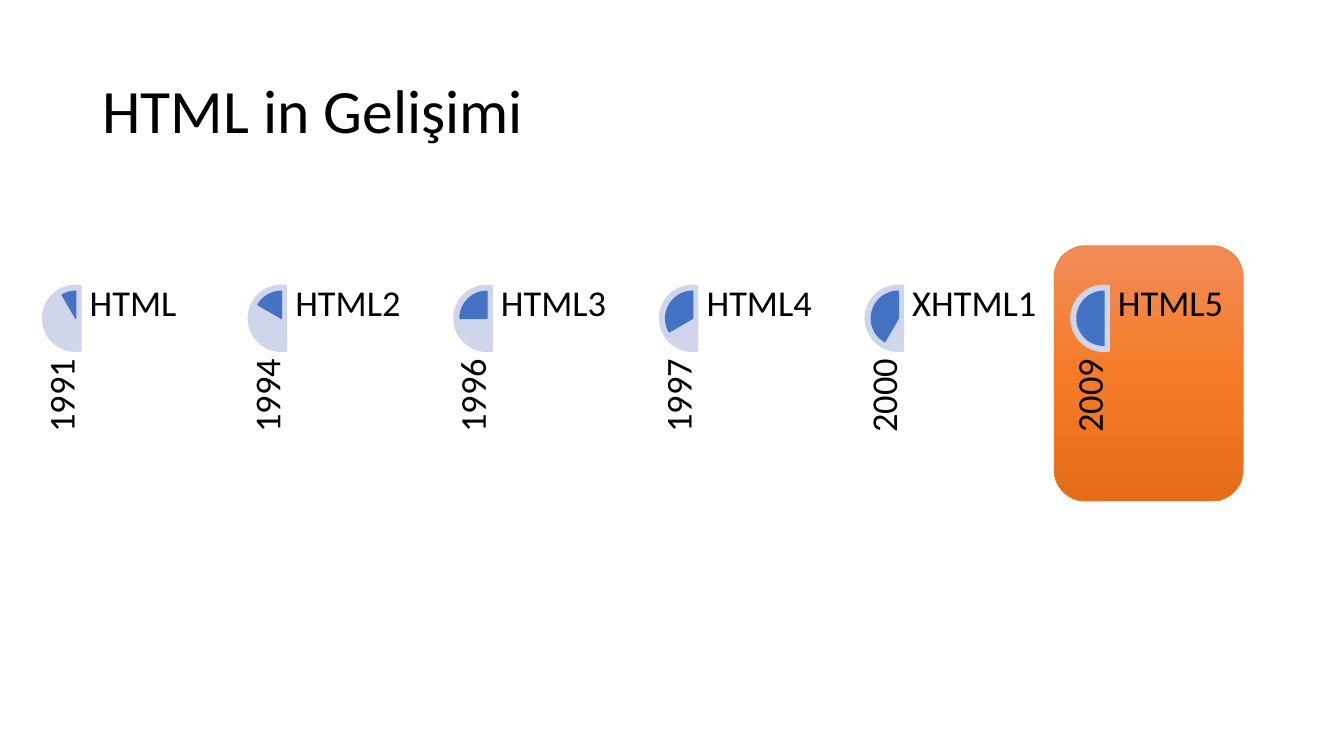
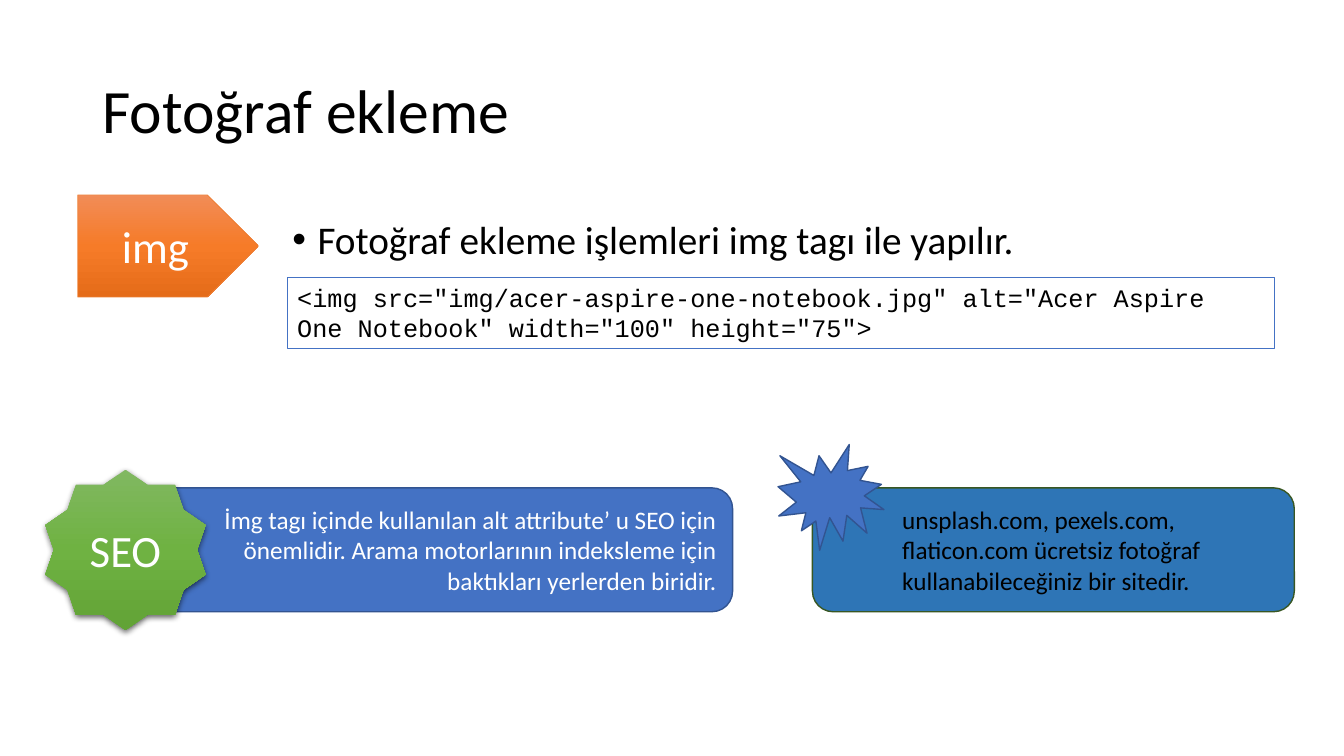
"""Build two slides on the history of HTML and on adding images."""
from copy import deepcopy

from lxml.etree import SubElement
from pptx import Presentation
from pptx.dml.color import RGBColor
from pptx.enum.shapes import MSO_SHAPE
from pptx.enum.text import MSO_ANCHOR, MSO_AUTO_SIZE, PP_ALIGN
from pptx.oxml.ns import qn
from pptx.util import Pt

rgb = RGBColor.from_string
BLACK, WHITE, BLUE, NAVY = "000000", "FFFFFF", "4472C4", "325491"
PALE, TEAL, ORANGE, GREEN = "CFD5EA", "2E75B6", "ED7D31", "385723"
ORANGE_FADE = ["F18C57", "F67B28", "E56C19"]
GREEN_FADE = ["81B861", "6FB242", "62A336"]


def add_shape(s, kind, box, fill, line=None, width=1):
    sp = s.shapes.add_shape(kind, *map(Pt, box))
    sp.shadow.inherit = False
    if isinstance(fill, list):
        sp.fill.gradient()
        sp.fill.gradient_angle = 270
        gs = sp._element.spPr.find(".//" + qn("a:gs"))
        gs.addnext(deepcopy(gs))
        for stop, position, color in zip(sp.fill.gradient_stops, (0, 0.5, 1), fill):
            stop.position = position
            stop.color.rgb = rgb(color)
    else:
        sp.fill.solid()
        sp.fill.fore_color.rgb = rgb(fill)
    if line:
        sp.line.color.rgb = rgb(line)
        sp.line.width = Pt(width)
    else:
        sp.line.fill.background()
    return sp


def set_text(sp, text, size, color=BLACK, align=PP_ALIGN.LEFT, anchor=MSO_ANCHOR.MIDDLE,
             spacing=1.0, font="Calibri", margins=(7.2, 3.6, 7.2, 3.6)):
    tf = sp.text_frame
    tf.text = text
    tf.word_wrap = True
    tf.auto_size = MSO_AUTO_SIZE.NONE
    tf.vertical_anchor = anchor
    tf.margin_left, tf.margin_top, tf.margin_right, tf.margin_bottom = map(Pt, margins)
    p = tf.paragraphs[0]
    p.alignment = align
    p.line_spacing = spacing
    p.space_before = Pt(0)
    r = p.runs[0]
    r.font.size = Pt(size)
    r.font.name = font
    r.font.color.rgb = rgb(color)


prs = Presentation()
prs.slide_width, prs.slide_height = Pt(960), Pt(540)

slides = []
for layout, title in ((5, "HTML in Gelişimi"), (1, "Fotoğraf ekleme")):
    s = prs.slides.add_slide(prs.slide_layouts[layout])
    sp = s.shapes.title
    sp.left, sp.top, sp.width, sp.height = map(Pt, (66, 28.75, 828, 104.4))
    set_text(sp, title, 44, spacing=0.9)
    slides.append(s)
history, images = slides

add_shape(history, MSO_SHAPE.ROUNDED_RECTANGLE, (753, 175.5, 135, 182.5),
          ORANGE_FADE, ORANGE, 0.5)
versions = [("1991", "HTML"), ("1994", "HTML2"), ("1996", "HTML3"),
            ("1997", "HTML4"), ("2000", "XHTML1"), ("2009", "HTML5")]
for i, (year, version) in enumerate(versions):
    x = 30 + 146.9 * i
    sp = add_shape(history, MSO_SHAPE.CHORD, (x, 203.3, 48.2, 48.2), PALE)
    sp.adjustments[0], sp.adjustments[1] = 48, 168
    sp = add_shape(history, MSO_SHAPE.PIE, (x + 4.8, 208.1, 38.6, 38.6), BLUE, BLUE)
    sp.adjustments[0], sp.adjustments[1] = 144 - 18 * i, 162
    sp = history.shapes.add_textbox(*map(Pt, (x - 55.4, 311.8, 139.7, 28.9)))
    sp.rotation = 270
    set_text(sp, year, 26, align=PP_ALIGN.RIGHT, anchor=MSO_ANCHOR.BOTTOM,
             spacing=0.9, margins=(0, 0, 0, 0))
    sp = history.shapes.add_textbox(*map(Pt, (x + 34, 203.3, 96.4, 192.8)))
    set_text(sp, version, 26, anchor=MSO_ANCHOR.TOP, spacing=0.9, margins=(0, 0, 0, 0))

sp = images.placeholders[1]
sp.left, sp.top, sp.width, sp.height = map(Pt, (201.6, 157, 694, 37.4))
sp.text_frame.text = "Fotoğraf ekleme işlemleri img tagı ile yapılır."
set_text(sp, sp.text_frame.text, 28, anchor=MSO_ANCHOR.TOP, spacing=0.8)
pPr = sp.text_frame.paragraphs[0]._p.get_or_add_pPr()
pPr.set("marL", str(Pt(18)))
pPr.set("indent", str(-Pt(18)))
SubElement(pPr, qn("a:buFont")).set("typeface", "Arial")
SubElement(pPr, qn("a:buChar")).set("char", "•")

sp = add_shape(images, MSO_SHAPE.PENTAGON, (55.6, 139.2, 129, 73), ORANGE_FADE, ORANGE, 0.5)
set_text(sp, "img", 32, WHITE, PP_ALIGN.CENTER)

sp = add_shape(images, MSO_SHAPE.RECTANGLE, (205.2, 198, 705, 51), WHITE, BLUE)
set_text(sp, '<img src="img/acer-aspire-one-notebook.jpg" alt="Acer Aspire One Notebook" '
         'width="100" height="75">', 18, anchor=MSO_ANCHOR.TOP, font="Courier New")

sp = add_shape(images, MSO_SHAPE.ROUNDED_RECTANGLE, (89.3, 348.5, 434, 88.5), BLUE, NAVY)
set_text(sp, "İmg tagı içinde kullanılan alt attribute’ u SEO için önemlidir. "
         "Arama motorlarının indeksleme için baktıkları yerlerden biridir.",
         18, WHITE, PP_ALIGN.RIGHT, margins=(36.7, 3.6, 7.2, 3.6))

sp = add_shape(images, MSO_SHAPE.STAR_10_POINT, (32.4, 335.5, 114.5, 114.5), GREEN_FADE)
set_text(sp, "SEO", 32, WHITE, PP_ALIGN.CENTER)
shadow = SubElement(sp._element.spPr.find(qn("a:effectLst")), qn("a:outerShdw"),
                    blurRad=str(Pt(4.5)), dist=str(Pt(1.5)), dir="5400000",
                    algn="ctr", rotWithShape="0")
color = SubElement(shadow, qn("a:srgbClr"), val=BLACK)
SubElement(color, qn("a:alpha"), val="63000")

sp = add_shape(images, MSO_SHAPE.ROUNDED_RECTANGLE, (580.3, 348.5, 344.2, 88.5), TEAL, GREEN)
set_text(sp, "unsplash.com, pexels.com, flaticon.com ücretsiz fotoğraf "
         "kullanabileceğiniz bir sitedir.", 18, margins=(59.8, 3.6, 7.2, 3.6))
add_shape(images, MSO_SHAPE.EXPLOSION1, (555.8, 317.5, 75.6, 75.6), BLUE, NAVY)

prs.save("out.pptx")
